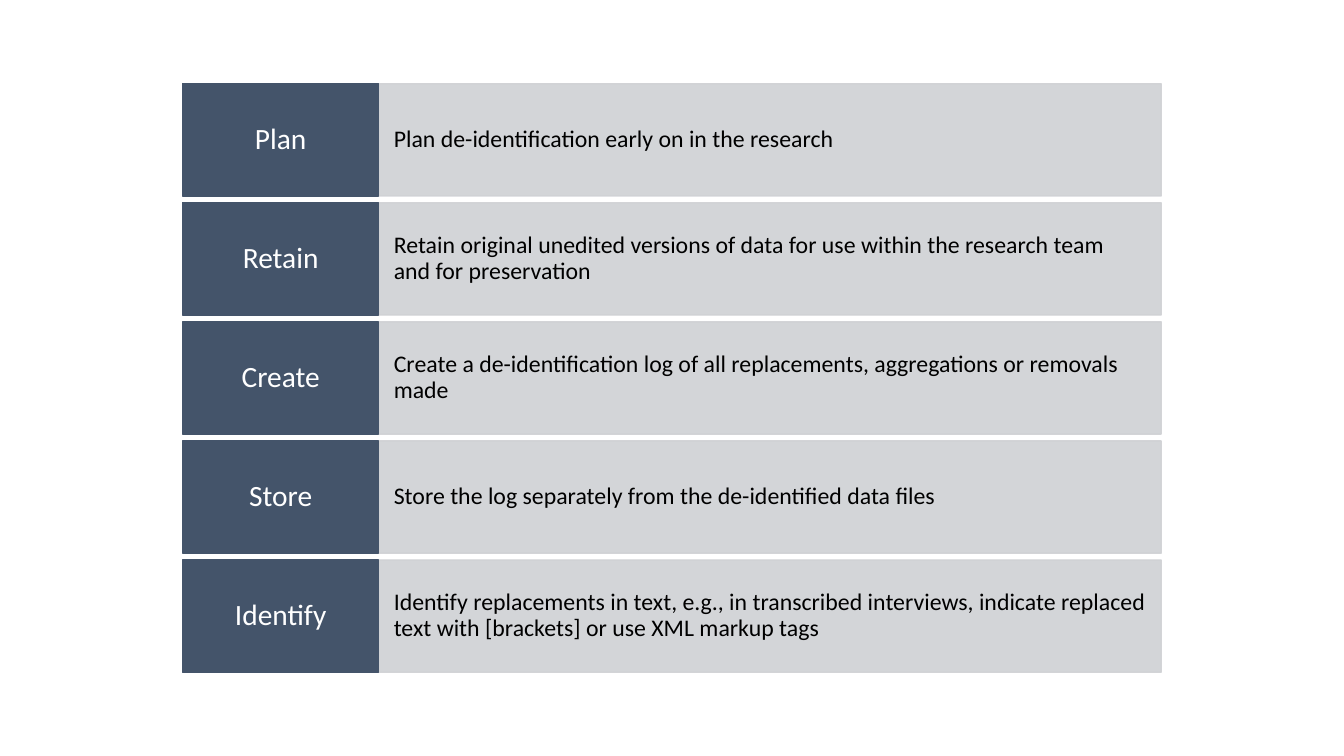
from lxml.etree import SubElement
from pptx import Presentation
from pptx.dml.color import RGBColor
from pptx.enum.shapes import MSO_SHAPE
from pptx.enum.text import MSO_ANCHOR, PP_ALIGN
from pptx.oxml.ns import qn
from pptx.util import Pt

COLORS = {
    "label": "44546A",
    "label_text": "FFFFFF",
    "detail": "CFD1D4",
    "detail_text": "000000",
}
FONT = "Calibri"

LEFT, TOP = 130.5, 59.8
LABEL_WIDTH, DETAIL_WIDTH = 140, 559
ROW_HEIGHT, ROW_PITCH = 80.2, 85.05

STEPS = [
    ("Plan", "Plan de-identification early on in the research"),
    ("Retain", "Retain original unedited versions of data for use within "
               "the research team and for preservation"),
    ("Create", "Create a de-identification log of all replacements, "
               "aggregations or removals made"),
    ("Store", "Store the log separately from the de-identified data files"),
    ("Identify", "Identify replacements in text, e.g., in transcribed interviews, "
                 "indicate replaced text with [brackets] or use XML markup tags"),
]


def set_opacity(shape, percent):
    """Apply one opacity to both the fill and the outline."""
    for color in shape.element.spPr.findall(".//" + qn("a:srgbClr")):
        SubElement(color, qn("a:alpha"), val=str(percent * 1000))


def add_block(slide, text, left, top, width, role, size, alignment, margins):
    """Add a filled rectangle with text; margins are (horizontal, vertical)."""
    shape = slide.shapes.add_shape(
        MSO_SHAPE.RECTANGLE, Pt(left), Pt(top), Pt(width), Pt(ROW_HEIGHT))
    shape.shadow.inherit = False
    fill_color = RGBColor.from_string(COLORS[role])
    shape.fill.solid()
    shape.fill.fore_color.rgb = fill_color
    shape.line.color.rgb = fill_color
    shape.line.width = Pt(1)

    frame = shape.text_frame
    frame.word_wrap = True
    frame.vertical_anchor = MSO_ANCHOR.MIDDLE
    frame.margin_left = frame.margin_right = Pt(margins[0])
    frame.margin_top = frame.margin_bottom = Pt(margins[1])
    paragraph = frame.paragraphs[0]
    paragraph.text = text
    paragraph.alignment = alignment
    paragraph.line_spacing = 0.9
    paragraph.font.name = FONT
    paragraph.font.size = Pt(size)
    paragraph.font.color.rgb = RGBColor.from_string(COLORS[role + "_text"])
    return shape


def add_step(slide, top, label, detail):
    detail_block = add_block(slide, detail, LEFT + LABEL_WIDTH, top, DETAIL_WIDTH,
                             "detail", 17, PP_ALIGN.LEFT, (10.8, 20))
    set_opacity(detail_block, 90)
    add_block(slide, label, LEFT, top, LABEL_WIDTH,
              "label", 21, PP_ALIGN.CENTER, (7.5, 8))


def main():
    presentation = Presentation()
    presentation.slide_width = Pt(960)
    presentation.slide_height = Pt(540)
    slide = presentation.slides.add_slide(presentation.slide_layouts[6])
    for row, (label, detail) in enumerate(STEPS):
        add_step(slide, TOP + row * ROW_PITCH, label, detail)
    presentation.save("out.pptx")


if __name__ == "__main__":
    main()
